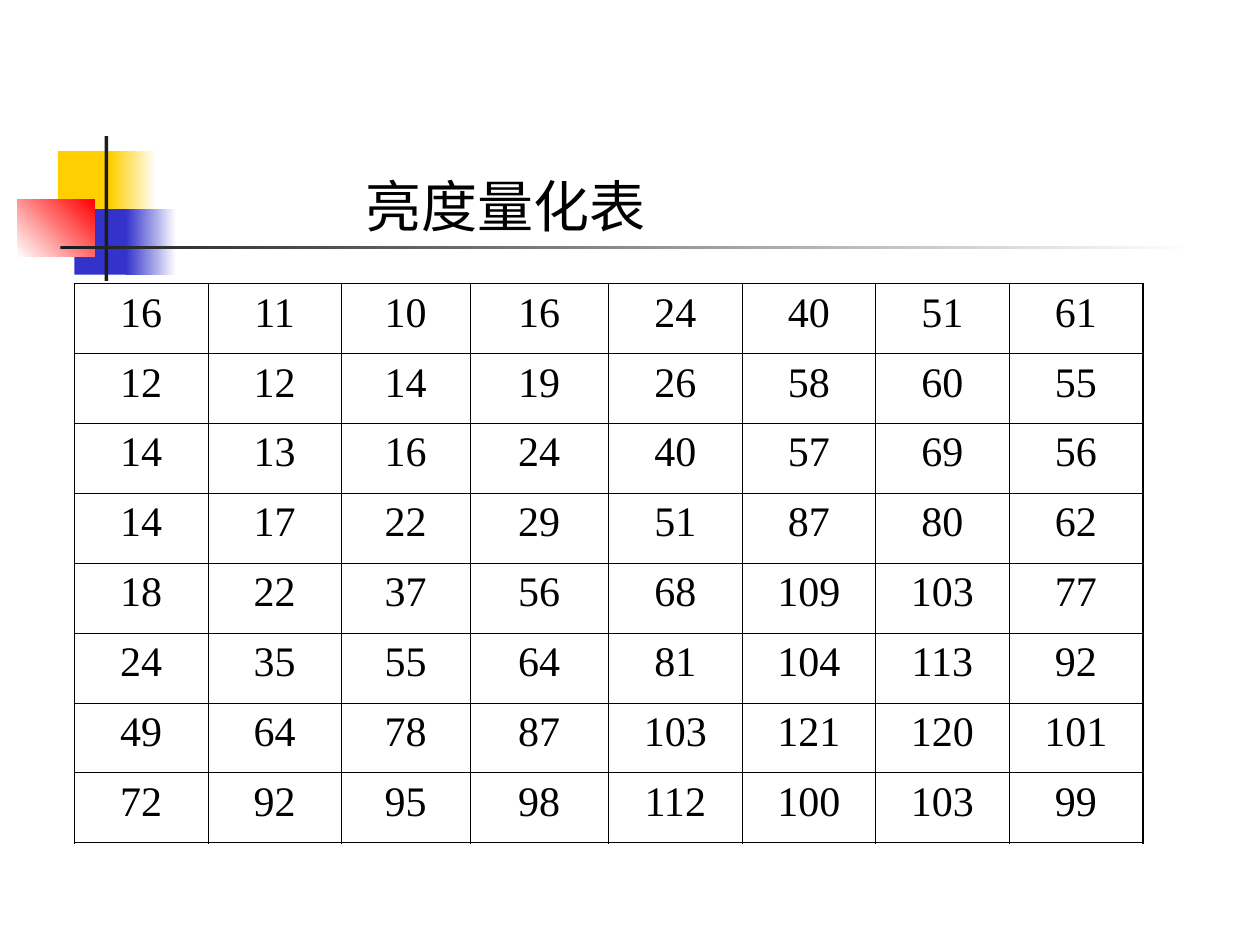
from lxml.etree import SubElement
from pptx import Presentation
from pptx.dml.color import RGBColor
from pptx.enum.shapes import MSO_SHAPE
from pptx.enum.text import MSO_ANCHOR, PP_ALIGN
from pptx.oxml.ns import qn
from pptx.util import Inches, Pt

COLORS = {"yellow": "FFCF01", "blue": "3333CC", "red": "FF0000",
          "dark": "1C1C1C", "white": "FFFFFF", "black": "000000"}
FONT = "Times New Roman"


def rgb(name):
    return RGBColor.from_string(COLORS[name])


def set_border(cell, side, width):
    """Draw one side (L, R, T or B) of a cell as a black line."""
    ln = SubElement(cell._tc.get_or_add_tcPr(), qn(f"a:ln{side}"), w=str(Pt(width)))
    fill = SubElement(ln, qn("a:solidFill"))
    SubElement(fill, qn("a:srgbClr"), val=COLORS["black"])


prs = Presentation()
prs.slide_width, prs.slide_height = Inches(10), Inches(7.5)
s = prs.slides.add_slide(prs.slide_layouts[5])

# Decoration: left, top, width, height, colours from start to end, angle
decoration = [
    (0.46, 1.2, 0.48, 0.52, ["yellow"], 0),
    (0.88, 1.2, 0.36, 0.52, ["yellow", "white"], 0),
    (0.59, 1.66, 0.46, 0.52, ["blue"], 0),
    (1, 1.66, 0.4, 0.52, ["blue", "white"], 0),
    (0.14, 1.58, 0.61, 0.46, ["white", "red"], 45),
    (0.83, 1.08, 0.03, 1.15, ["dark"], 0),
    (0.48, 1.95, 9, 0.03, ["dark", "white"], 0),
]
for *box, names, angle in decoration:
    sp = s.shapes.add_shape(MSO_SHAPE.RECTANGLE, *map(Inches, box))
    sp.shadow.inherit = False
    sp.line.fill.background()
    if len(names) == 1:
        sp.fill.solid()
        sp.fill.fore_color.rgb = rgb(names[0])
    else:
        sp.fill.gradient()
        sp.fill.gradient_angle = angle
        for stop, name in zip(sp.fill.gradient_stops, names):
            stop.color.rgb = rgb(name)

# Title
title = s.shapes.title
title.left, title.top = Inches(2.8), Inches(1.31)
title.width, title.height = Inches(4.17), Inches(0.64)
tf = title.text_frame
tf.text = "亮度量化表"
tf.vertical_anchor = MSO_ANCHOR.MIDDLE
p = tf.paragraphs[0]
p.alignment = PP_ALIGN.LEFT
p.font.name, p.font.size = FONT, Pt(32)
p.font.color.rgb = rgb("black")

# Luminance quantization table
values = [
    [16, 11, 10, 16, 24, 40, 51, 61],
    [12, 12, 14, 19, 26, 58, 60, 55],
    [14, 13, 16, 24, 40, 57, 69, 56],
    [14, 17, 22, 29, 51, 87, 80, 62],
    [18, 22, 37, 56, 68, 109, 103, 77],
    [24, 35, 55, 64, 81, 104, 113, 92],
    [49, 64, 78, 87, 103, 121, 120, 101],
    [72, 92, 95, 98, 112, 100, 103, 99],
]
last = len(values) - 1
table = s.shapes.add_table(8, 8, Inches(0.59), Inches(2.25),
                           Inches(8.5), Inches(4.44)).table
table.first_row = table.horz_banding = False
for column, width in zip(table.columns, [1.06, 1.06, 1.02, 1.1] + [1.06] * 4):
    column.width = Inches(width)

for i, row in enumerate(values):
    for j, value in enumerate(row):
        cell = table.cell(i, j)
        outer = {"L": j == 0, "R": j == last, "T": i == 0, "B": i == last}
        for side, is_outer in outer.items():
            set_border(cell, side, 1.08 if is_outer else 0.45)
        cell.fill.background()
        cell.text = str(value)
        p = cell.text_frame.paragraphs[0]
        p.alignment = PP_ALIGN.CENTER
        p.font.name, p.font.size = FONT, Pt(24)
        p.font.color.rgb = rgb("black")

prs.save("out.pptx")
